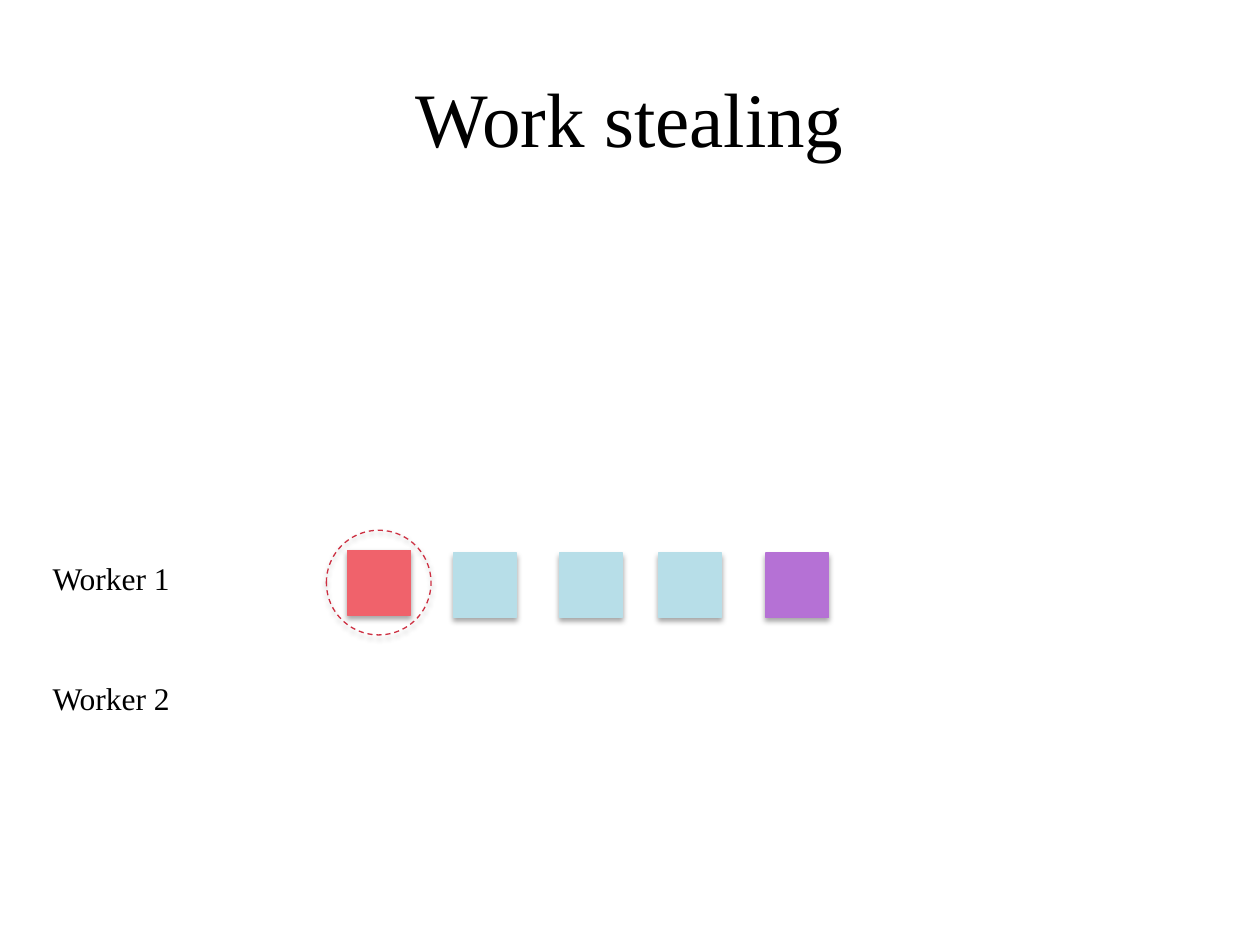
from dataclasses import dataclass

import lxml.etree
import pptx
import pptx.dml.color
import pptx.enum.dml
import pptx.enum.shapes
import pptx.enum.text
import pptx.oxml
import pptx.oxml.ns
import pptx.util

Cm = pptx.util.Cm
Pt = pptx.util.Pt
COLORS = {
    "text": "000000",
    "running": "F0626B",
    "queued": "B7DEE8",
    "last": "B571D5",
    "ring": "CD3042",
}
FONT = "Times New Roman"
TASK_WIDTH, TASK_HEIGHT = 1.27, 1.3


@dataclass
class Task:
    left: float
    top: float
    color: str


@dataclass
class Label:
    text: str
    top: float


TASKS = [
    Task(7.01, 11.1, "running"),
    Task(9.14, 11.15, "queued"),
    Task(11.28, 11.15, "queued"),
    Task(13.28, 11.15, "queued"),
    Task(15.44, 11.15, "last"),
]
LABELS = [Label("Worker 1", 11.15), Label("Worker 2", 13.56)]


def rgb(name: str) -> pptx.dml.color.RGBColor:
    return pptx.dml.color.RGBColor.from_string(COLORS[name])


def add_shadow(s) -> None:
    s.shadow.inherit = False
    effects = s._element.spPr.find(pptx.oxml.ns.qn("a:effectLst"))
    shadow = lxml.etree.SubElement(
        effects, pptx.oxml.ns.qn("a:outerShdw"),
        blurRad=str(Pt(3.1)), dist=str(Pt(1.8)), dir="5400000", rotWithShape="0",
    )
    color = lxml.etree.SubElement(shadow, pptx.oxml.ns.qn("a:srgbClr"), val="000000")
    lxml.etree.SubElement(color, pptx.oxml.ns.qn("a:alpha"), val="35000")


def add_task(slide, task: Task) -> None:
    s = slide.shapes.add_shape(
        pptx.enum.shapes.MSO_SHAPE.RECTANGLE,
        Cm(task.left), Cm(task.top), Cm(TASK_WIDTH), Cm(TASK_HEIGHT),
    )
    s.fill.solid()
    s.fill.fore_color.rgb = rgb(task.color)
    s.line.color.rgb = rgb(task.color)
    s.line.width = Pt(0.75)
    add_shadow(s)


def add_ring(slide) -> None:
    s = slide.shapes.add_shape(
        pptx.enum.shapes.MSO_SHAPE.OVAL, Cm(6.58), Cm(10.69), Cm(2.11), Cm(2.11)
    )
    s.fill.background()
    s.line.color.rgb = rgb("ring")
    s.line.width = Pt(0.75)
    s.line.dash_style = pptx.enum.dml.MSO_LINE.DASH
    add_shadow(s)


def set_text(tf, text: str, size: float) -> None:
    p = tf.paragraphs[0]
    p.text = text
    p.font.name = FONT
    p.font.size = Pt(size)
    p.font.color.rgb = rgb("text")


def add_title(slide, text: str) -> None:
    tf = slide.shapes.add_textbox(Cm(1.27), Cm(0.76), Cm(22.86), Cm(3.18)).text_frame
    tf.word_wrap = True
    tf.vertical_anchor = pptx.enum.text.MSO_ANCHOR.MIDDLE
    set_text(tf, text, 44)
    tf.paragraphs[0].alignment = pptx.enum.text.PP_ALIGN.CENTER


def add_label(slide, label: Label) -> None:
    tf = slide.shapes.add_textbox(Cm(0.81), Cm(label.top), Cm(2.9), Cm(1.02)).text_frame
    tf.word_wrap = False
    tf.auto_size = pptx.enum.text.MSO_AUTO_SIZE.SHAPE_TO_FIT_TEXT
    set_text(tf, label.text, 18)


def main() -> None:
    prs = pptx.Presentation()
    prs.slide_width, prs.slide_height = Cm(25.4), Cm(19.05)
    slide = prs.slides.add_slide(prs.slide_layouts[6])
    add_title(slide, "Work stealing")
    for label in LABELS:
        add_label(slide, label)
    for task in TASKS:
        add_task(slide, task)
    add_ring(slide)
    prs.save("out.pptx")


if __name__ == "__main__":
    main()
